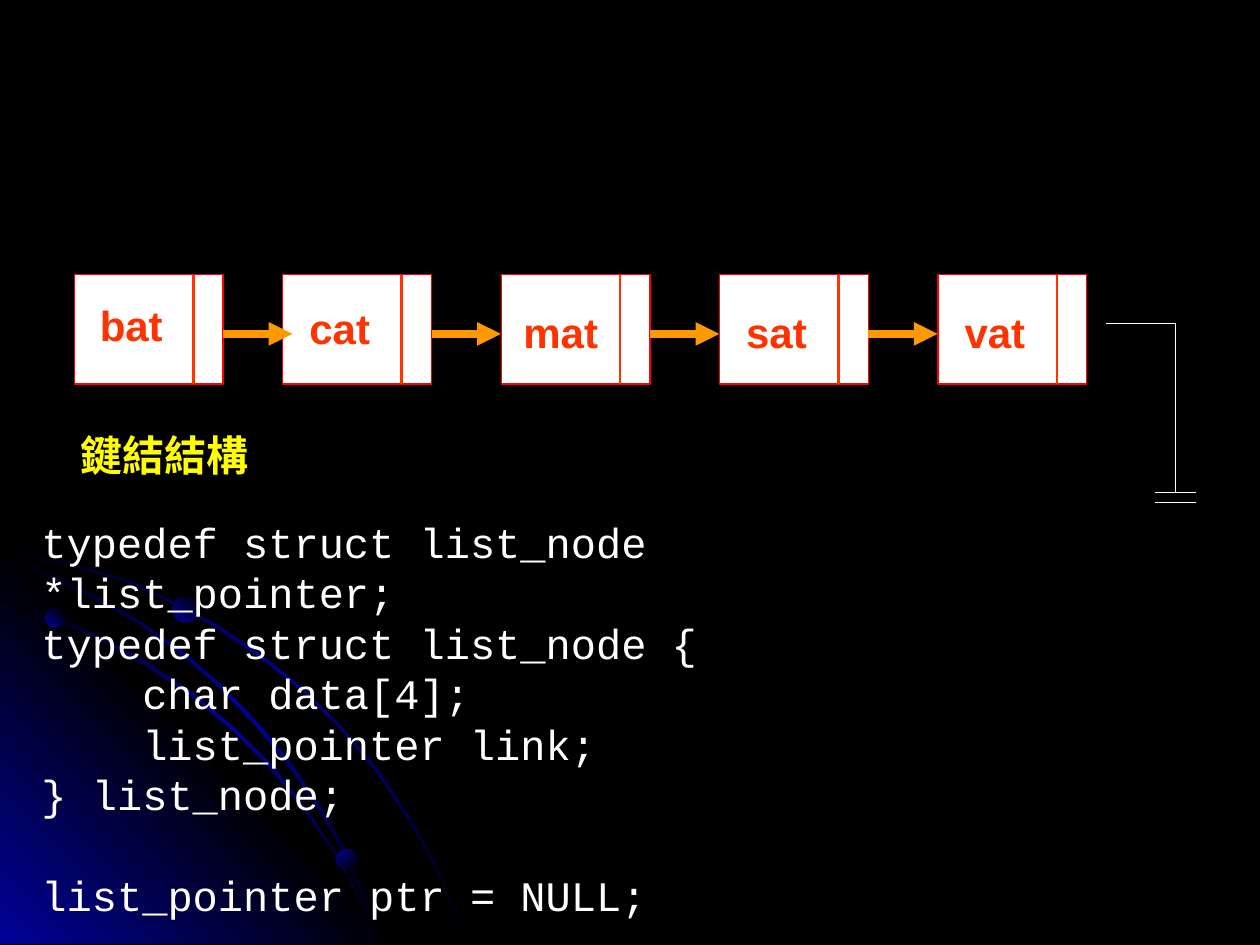
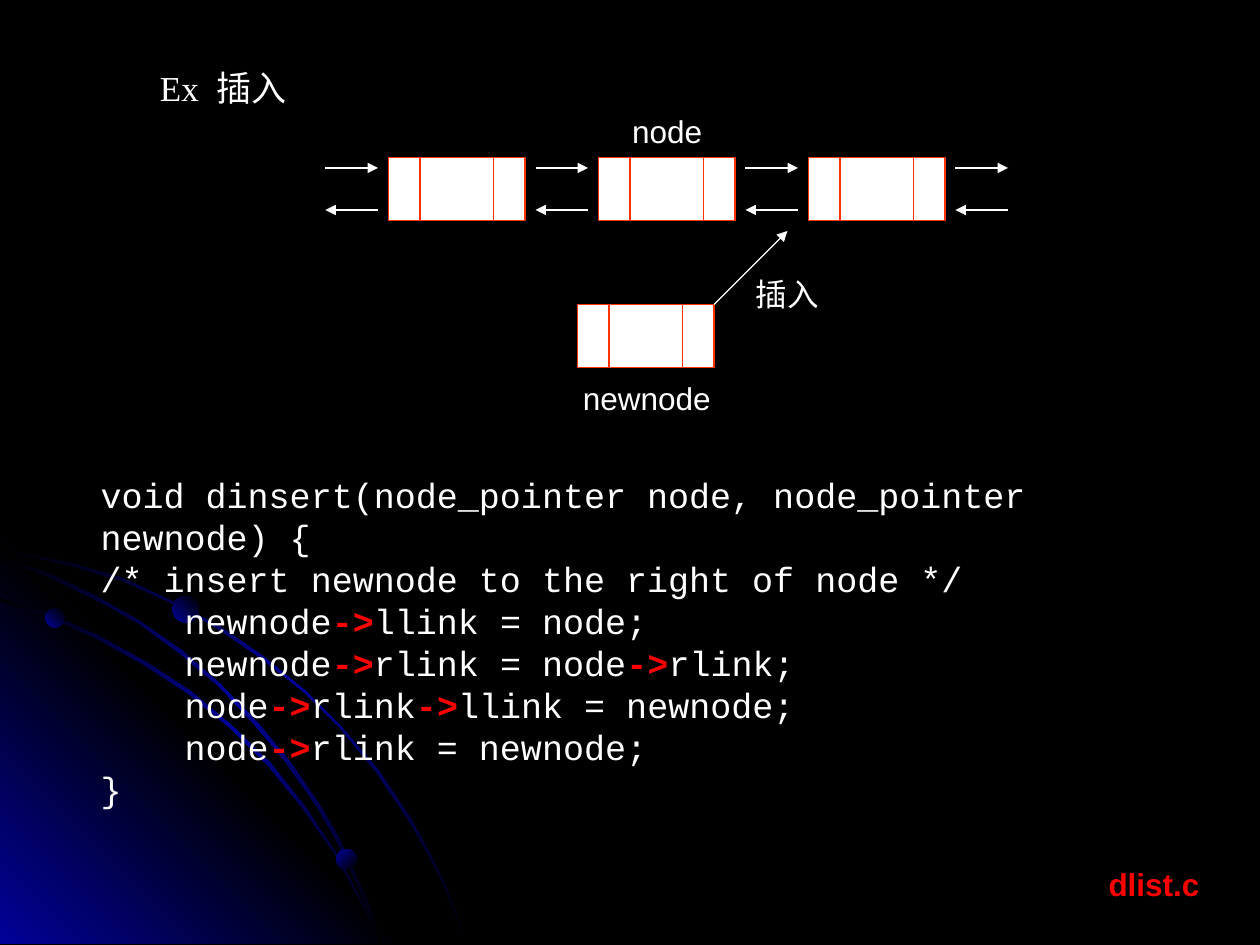
"""Build two slides on singly and doubly linked lists."""
from dataclasses import dataclass

import pptx
import pptx.dml.color
import pptx.enum.shapes
import pptx.enum.text
import pptx.oxml
import pptx.oxml.ns
import pptx.util
from lxml import etree

Pt = pptx.util.Pt
Align = pptx.enum.text.PP_ALIGN
Preset = pptx.enum.shapes.MSO_SHAPE


@dataclass(frozen=True)
class Theme:
    """Colours, fonts and type sizes shared by the slides."""
    black: str = "000000"
    white: str = "FFFFFF"
    blue: str = "010199"
    red: str = "FF0000"
    vermilion: str = "FF3300"
    orange: str = "FF9900"
    yellow: str = "FFFF00"
    sans: str = "Arial"
    serif: str = "Times New Roman"
    mono: str = "Courier New"
    chinese: str = "Noto Sans CJK SC"
    large: int = 24
    medium: int = 20
    small: int = 18
    line_pitch: float = 1.2
    hairline: float = 0.75


THEME = Theme()

UPPER_ARC = [
    (41, 321.8), (20.2, 317.5), (0, 313.2), (0, 315.4), (20.2, 319), (40.3, 323.3),
    (69.8, 331.9), (97.2, 344.2), (124.6, 359.3), (149.8, 376.6), (173.5, 395.3),
    (195.1, 416.9), (214.6, 440.6), (232.6, 467.3), (242.6, 484.6), (252, 502.6),
    (259.2, 520.6), (266.4, 539.3), (267.8, 539.3), (260.6, 520.6), (253.4, 502.6),
    (244.1, 484.6), (234, 466.6), (216, 439.9), (195.8, 416.2), (174.2, 394.6),
    (150.5, 375.1), (125.3, 357.8), (97.9, 343.4), (70.6, 330.5)]
CORNER = [(231.8, 539.3), (0, 539.3), (0, 307.4)]
LOWER_ARC = [
    (205.2, 514.1), (211.7, 527), (216.7, 539.3), (218.2, 539.3), (213.1, 525.6),
    (205.9, 512.6), (191.5, 486.7), (174.2, 460.8), (154.8, 436.3), (132.5, 414.7),
    (109.4, 395.3), (84.2, 378.7), (56.9, 363.6), (29.5, 351.4), (0, 342), (0, 343.4),
    (28.1, 352.8), (55.4, 365), (82.8, 380.2), (108, 396.7), (131.8, 416.2),
    (153.4, 437.8), (172.8, 461.5), (190.8, 487.4)]
MIDDLE_ARC = [
    (0, 318.2), (0, 319.7), (25.9, 329), (53.3, 342), (78.5, 355.7), (102.2, 373),
    (124.6, 391.7), (145.4, 414), (163.4, 435.6), (181.4, 461.5), (192.2, 480.2),
    (201.6, 499.7), (210.2, 519.8), (216.7, 539.3), (218.2, 539.3), (211.7, 518.4),
    (203, 499), (193.7, 478.8), (182.9, 460.1), (164.9, 434.2), (146.9, 412.6),
    (126, 391), (103.7, 371.5), (79.9, 355), (54.7, 340.6), (28.1, 327.6)]


def rgb(color):
    """Return the colour object for a hexadecimal string."""
    return pptx.dml.color.RGBColor.from_string(color)


def fill_gradient(shape, colors, angle):
    """Fill a shape with evenly spaced colours, the angle running clockwise."""
    shape.shadow.inherit = False
    shape.line.fill.background()
    shape.fill.gradient()
    shape.fill.gradient_angle = (360 - angle) % 360
    stops = shape.element.spPr.find(".//" + pptx.oxml.ns.qn("a:gsLst"))
    for stop in list(stops):
        stops.remove(stop)
    for index, color in enumerate(colors):
        stop = etree.SubElement(stops, pptx.oxml.ns.qn("a:gs"))
        stop.set("pos", str(100000 * index // (len(colors) - 1)))
        etree.SubElement(stop, pptx.oxml.ns.qn("a:srgbClr")).set("val", color)


def add_outline(slide, points):
    """Add a closed freeform through the points."""
    corners = [(Pt(x), Pt(y)) for x, y in points]
    builder = slide.shapes.build_freeform(*corners[0])
    builder.add_line_segments(corners[1:], close=True)
    return builder.convert_to_shape()


def decorate_master(presentation, slide):
    """Draw the corner glow and orbits, then move them to the slide master."""
    master = presentation.slide_master
    master.background.fill.solid()
    master.background.fill.fore_color.rgb = rgb(THEME.black)
    arc_colors = (THEME.black, THEME.blue, THEME.black)
    glow_colors = (THEME.blue, THEME.black, THEME.blue)
    decorations = []
    for points, colors, angle in [(UPPER_ARC, arc_colors, 45), (CORNER, glow_colors, 315),
                                  (LOWER_ARC, arc_colors, 45), (MIDDLE_ARC, arc_colors, 45)]:
        shape = add_outline(slide, points)
        fill_gradient(shape, colors, angle)
        decorations.append(shape)
    for left, top, size, angle in [(25.9, 347.8, 10.8, 315), (192.2, 485.3, 11.5, 45),
                                   (98.6, 340.6, 15.1, 315)]:
        shape = slide.shapes.add_shape(Preset.OVAL, Pt(left), Pt(top), Pt(size), Pt(size))
        fill_gradient(shape, (THEME.blue, THEME.black), angle)
        decorations.append(shape)
    for number, shape in enumerate(decorations, start=100):
        shape.element.nvSpPr.cNvPr.id = number
        master.element.cSld.spTree.append(shape.element)


def add_line(shapes, start, end, color, width=THEME.hairline, head=False, tail=False):
    """Add a straight line with optional arrowheads at its start and end."""
    line = shapes.add_connector(pptx.enum.shapes.MSO_CONNECTOR.STRAIGHT,
                                *(Pt(value) for value in (*start, *end)))
    line.line.color.rgb = rgb(color)
    line.line.width = Pt(width)
    properties = line.element.spPr
    outline = properties.find(pptx.oxml.ns.qn("a:ln"))
    for tag, wanted in (("a:headEnd", head), ("a:tailEnd", tail)):
        if wanted:
            etree.SubElement(outline, pptx.oxml.ns.qn(tag)).set("type", "triangle")
    etree.SubElement(properties, pptx.oxml.ns.qn("a:effectLst"))


def add_node(slide, left, top, width, height, dividers, border, divider_width):
    """Add a grouped list node whose fields are split at the divider offsets."""
    shapes = slide.shapes.add_group_shape().shapes
    box = shapes.add_shape(Preset.RECTANGLE, Pt(left), Pt(top), Pt(width), Pt(height))
    box.shadow.inherit = False
    box.fill.solid()
    box.fill.fore_color.rgb = rgb(THEME.white)
    box.line.color.rgb = rgb(border)
    box.line.width = Pt(THEME.hairline)
    for offset in dividers:
        add_line(shapes, (left + offset, top), (left + offset, top + height),
                 THEME.vermilion, divider_width)


def format_run(run, font, size, color, bold=False):
    """Set the look of one run."""
    run.font.name = font
    run.font.size = Pt(size)
    run.font.color.rgb = rgb(color)
    run.font.bold = bold


def add_label(slide, text, left, top, width, size=THEME.small, color=THEME.white,
              bold=False, align=Align.LEFT):
    """Add a one-line label."""
    box = slide.shapes.add_textbox(Pt(left), Pt(top), Pt(width), Pt(size * 1.5))
    box.text_frame.word_wrap = False
    box.text_frame.text = text
    paragraph = box.text_frame.paragraphs[0]
    paragraph.alignment = align
    format_run(paragraph.runs[0], THEME.sans, size, color, bold)


def add_code(slide, lines, left, top, width, height, size, margin_right=7.2):
    """Add code from (indent, text) lines, with link operators in bold red."""
    frame = slide.shapes.add_textbox(Pt(left), Pt(top), Pt(width), Pt(height)).text_frame
    frame.word_wrap = True
    frame.margin_right = Pt(margin_right)
    for index, (indent, text) in enumerate(lines):
        paragraph = frame.add_paragraph() if index else frame.paragraphs[0]
        paragraph.line_spacing = Pt(size * THEME.line_pitch)
        properties = paragraph._p.get_or_add_pPr()
        properties.set("marL", str(Pt(indent * size * 0.6)))
        properties.set("indent", "0")
        for position, part in enumerate(text.split("->")):
            if position:
                operator = paragraph.add_run()
                operator.text = "->"
                format_run(operator, THEME.mono, size, THEME.red, bold=True)
            run = paragraph.add_run()
            run.text = part
            format_run(run, THEME.mono, size, THEME.white)
    return frame


def format_title(slide):
    """Place the slide title and set its two scripts in their own fonts."""
    title = slide.shapes.title
    title.left, title.top, title.width, title.height = Pt(84.2), Pt(34.6), Pt(110), Pt(31)
    frame = title.text_frame
    frame.word_wrap = False
    frame.auto_size = pptx.enum.text.MSO_AUTO_SIZE.NONE
    frame.vertical_anchor = pptx.enum.text.MSO_ANCHOR.TOP
    paragraph = frame.paragraphs[0]
    paragraph.alignment = Align.LEFT
    for text, font in (("Ex", THEME.serif), (" ", THEME.serif), ("插入", THEME.chinese)):
        run = paragraph.add_run()
        run.text = text
        format_run(run, font, THEME.medium, THEME.white)
    paragraph.runs[1].font._element.set("spc", "500")


def build_linked_list(slide):
    """Draw the chain of words with its ground symbol and type definition."""
    top, width, height, link_y, link_length = 157, 85, 62.4, 190.8, 39.6
    pitch, second_left, label_width = 124.8, 161.6, 70
    lefts = [42.5] + [second_left + pitch * index for index in range(4)]
    words = [("bat", 32.5, 167.8), ("cat", 32.5, 169.2), ("mat", 34, 171.4),
             ("sat", 32.5, 171.4), ("vat", 32.5, 171.4)]
    for left, (word, center, label_top) in zip(lefts, words):
        add_node(slide, left, top, width, height, [68], THEME.red, 1.5)
        add_label(slide, word, left + center - label_width / 2, label_top, label_width,
                  THEME.large, THEME.vermilion, True, Align.CENTER)
    for left in lefts[:-1]:
        add_line(slide.shapes, (left + width, link_y), (left + width + link_length, link_y),
                 THEME.orange, 4.5, tail=True)
    ground = slide.shapes.add_group_shape().shapes
    for start, end in [((632.2, 185), (671.8, 185)), ((671.8, 185), (671.8, 281.5)),
                       ((660.2, 281.5), (683.3, 281.5)), ((660.2, 287.3), (683.3, 287.3))]:
        add_line(ground, start, end, THEME.white)
    code = [(0, "typedef struct list_node *list_pointer;"), (0, "typedef struct list_node {"),
            (4, "char data[4];"), (4, "list_pointer link;"), (0, "} list_node;"),
            (0, "list_pointer ptr = NULL;")]
    frame = add_code(slide, code, 16.6, 291.6, 572.4, 211, THEME.large, margin_right=36)
    frame.paragraphs[-1].space_before = Pt(THEME.large * THEME.line_pitch)
    add_label(slide, "鍵結結構", 25.2, 241.9, 137.5, THEME.large, THEME.yellow, True,
              Align.CENTER)


def build_insertion(slide):
    """Draw the doubly linked list, the node to insert and the function."""
    format_title(slide)
    pitch, first_left, first_link = 120, 222, 186
    node_style = (78, 36, [18, 60], THEME.vermilion, THEME.hairline)
    add_node(slide, 330, 174, *node_style)
    for index in range(3):
        add_node(slide, first_left + pitch * index, 90, *node_style)
    for index in range(4):
        left = first_link + pitch * index
        add_line(slide.shapes, (left, 96), (left + 30, 96), THEME.white, tail=True)
        add_line(slide.shapes, (left, 120), (left + 30, 120), THEME.white, head=True)
    add_line(slide.shapes, (408, 174), (450, 132), THEME.white, tail=True)
    add_label(slide, "node", 354.2, 60.5, 54.7)
    add_label(slide, "插入", 424.8, 153.4, 50.4)
    add_label(slide, "newnode", 326, 213.1, 87.8)
    code = [(0, "void dinsert(node_pointer node, node_pointer newnode) {"),
            (0, "/* insert newnode to the right of node */"),
            (4, "newnode->llink = node;"), (4, "newnode->rlink = node->rlink;"),
            (4, "node->rlink->llink = newnode;"), (4, "node->rlink = newnode;"), (0, "}")]
    add_code(slide, code, 50.4, 267.1, 636.5, 177, THEME.medium)
    add_label(slide, "dlist.c", 626.4, 491, 67, color=THEME.red, bold=True)


def main():
    """Build and save the presentation."""
    presentation = pptx.Presentation()
    presentation.slide_width, presentation.slide_height = Pt(720), Pt(540)
    title_only, blank = presentation.slide_layouts[5], presentation.slide_layouts[6]
    list_slide = presentation.slides.add_slide(blank)
    decorate_master(presentation, list_slide)
    build_linked_list(list_slide)
    build_insertion(presentation.slides.add_slide(title_only))
    presentation.save("out.pptx")


if __name__ == "__main__":
    main()
